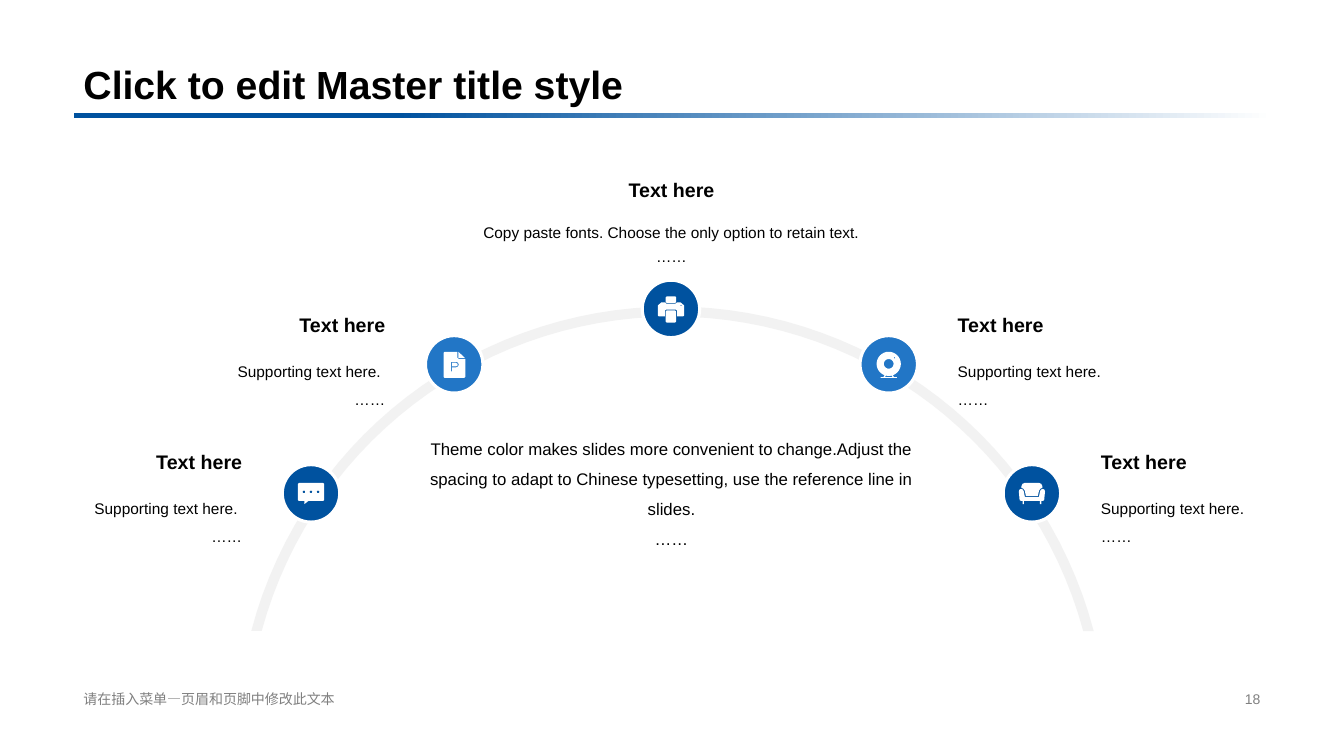
from math import asin, cos, pi, sin

from pptx import Presentation
from pptx.dml.color import RGBColor
from pptx.enum.shapes import MSO_SHAPE as Shape
from pptx.enum.text import MSO_ANCHOR as Anchor, PP_ALIGN as Align
from pptx.util import Inches, Pt

COLORS = {
    "navy": "00529F",
    "blue": "2276C6",
    "arc": "F2F2F2",
    "white": "FFFFFF",
    "black": "000000",
    "gray": "808080",
}
FORMATS = {
    "title": {"size": Pt(28), "bold": True},
    "heading": {"size": Pt(14), "bold": True},
    "body": {"size": Pt(11), "bold": False},
    "center": {"size": Pt(12), "bold": False},
    "footer": {"size": Pt(10), "bold": False},
}
NODE_SIZE = 0.57
ELLIPSIS = "……"
SUPPORT = "Supporting text here."


def color(name):
    return RGBColor.from_string(COLORS[name])


def add_text(slide, box, lines, style, align=Align.LEFT, anchor=Anchor.TOP,
             spacing=1.0, ink="black"):
    frame = slide.shapes.add_textbox(*map(Inches, box)).text_frame
    frame.word_wrap = True
    frame.vertical_anchor = anchor
    for index, line in enumerate(lines):
        paragraph = frame.add_paragraph() if index else frame.paragraphs[0]
        paragraph.alignment = align
        paragraph.line_spacing = spacing
        run = paragraph.add_run()
        run.text = line
        run.font.name = "Arial"
        run.font.color.rgb = color(ink)
        for attribute, value in FORMATS[style].items():
            setattr(run.font, attribute, value)


def add_outline(slide, contours, fill):
    emu = [[(Inches(x), Inches(y)) for x, y in contour] for contour in contours]
    builder = slide.shapes.build_freeform(*emu[0][0], scale=1.0)
    for index, contour in enumerate(emu):
        if index:
            builder.move_to(*contour[0])
        builder.add_line_segments(contour[1:], close=True)
    outline = builder.convert_to_shape()
    outline.shadow.inherit = False
    outline.fill.solid()
    outline.fill.fore_color.rgb = color(fill)
    outline.line.fill.background()


def add_title_rule(slide):
    rule = slide.shapes.add_shape(
        Shape.RECTANGLE, *map(Inches, (0.73, 1.12, 11.89, 0.05)))
    rule.shadow.inherit = False
    rule.line.fill.background()
    rule.fill.gradient()
    rule.fill.gradient_angle = 0
    stops = zip(rule.fill.gradient_stops, ((0.27, "navy"), (1.0, "white")))
    for stop, (position, name) in stops:
        stop.position = position
        stop.color.rgb = color(name)


def arc_edge(radius, steps=60):
    center_x, center_y, base_y = 6.67, 7.36, 6.26
    start = asin((center_y - base_y) / radius)
    angles = [start + (pi - 2 * start) * i / steps for i in range(steps + 1)]
    return [(center_x + radius * cos(a), center_y - radius * sin(a))
            for a in angles]


def disc(x, y, radius, steps=32):
    return [(x + radius * cos(2 * pi * i / steps),
             y + radius * sin(2 * pi * i / steps)) for i in range(steps)]


def mirrored(left_half):
    return left_half + [(-x, y) for x, y in reversed(left_half)]


def panel(half_width, top, bottom, cut=1):
    return mirrored([(cut - half_width, top), (-half_width, top + cut),
                     (-half_width, bottom - cut), (cut - half_width, bottom)])


def chat_icon():
    tail = [(-2.5, 7.5), (-6.5, 10.5), (-6.5, 7.5)]
    return [panel(13, -10.5, 7.5), tail] + [disc(x, -1.5, 1.3) for x in (-7, 0, 7)]


def document_icon():
    page = [(-9.5, -12.5), (3.2, -12.5), (3.2, -6.5), (4.5, -5.2), (11, -5.2),
            (11, 12.5), (10, 13.5), (-9.5, 13.5), (-10.5, 12.5), (-10.5, -11.5)]
    fold = [(4.2, -12.5), (10.8, -6.2), (4.2, -6.2)]
    letter = [(-3, -2.5), (2, -2.5), (4, -1.5), (4.5, 0.2), (4, 2), (2, 3),
              (-2, 3), (-2, 7), (-3, 7)]
    counter = [(-2, -1.6), (1.7, -1.6), (3.4, -0.6), (3.4, 1.2), (1.7, 2.1),
               (-2, 2.1)]
    return [page, fold, letter, counter]


def printer_icon():
    body = mirrored([(-4.5, -5.2), (-6, -6.5), (-9.5, -6.5), (-13, -3.5),
                     (-13, 6.5), (-12, 7.5), (-6, 7.5), (-6, 1.8), (-5, 0.8)])
    return [body, panel(5.2, -12.5, -5.9), panel(5.2, 1.6, 13.5),
            disc(10, -3.5, 0.6)]


def webcam_icon():
    left_leg = [(-4, 10.8), (-2.8, 11.3), (-3.8, 12.6), (-5.2, 12.6)]
    right_leg = [(-x, y) for x, y in left_leg]
    base = [(-8, 12.6), (8, 12.6), (8, 13.5), (-8, 13.5)]
    return [disc(0, -0.5, 12), disc(0, -0.5, 4.8), disc(5.7, -6.5, 0.7),
            left_leg, right_leg, base]


def sofa_icon():
    seat = mirrored([(-7, 3.5), (-8, -2), (-9, -3.8), (-10.7, -4.5), (-12.4, -3.8),
                     (-13, -2), (-12.2, 6.5), (-11, 7.5), (-9.3, 7.5),
                     (-9.3, 10.5), (-8, 10.5), (-8, 7.5)])
    back = mirrored([(-7, -10.5), (-9.3, -9.5), (-10.4, -7.2), (-10.4, -5.6),
                     (-8.2, -4.5), (-7, -2.5), (-6, 2.5)])
    return [seat, back]


def add_node(slide, left, top, fill, icon):
    node = slide.shapes.add_shape(
        Shape.OVAL, *map(Inches, (left, top, NODE_SIZE, NODE_SIZE)))
    node.shadow.inherit = False
    node.fill.solid()
    node.fill.fore_color.rgb = color(fill)
    node.line.color.rgb = color("white")
    node.line.width = Pt(2.25)
    center_x, center_y = left + NODE_SIZE / 2, top + NODE_SIZE / 2
    add_outline(slide, [[(center_x + x / 100, center_y + y / 100)
                         for x, y in contour] for contour in icon], "white")


def add_caption(slide, left, top, width, align, support, spacing):
    add_text(slide, (left, top, width, 0.46), ["Text here"], "heading",
             align, Anchor.MIDDLE)
    add_text(slide, (left, top + 0.46, width, 0.62), [support, ELLIPSIS], "body",
             align, spacing=spacing)


def main():
    deck = Presentation()
    deck.slide_width, deck.slide_height = Inches(13.33), Inches(7.5)
    slide = deck.slides.add_slide(deck.slide_layouts[6])

    add_title_rule(slide)
    add_outline(slide, [arc_edge(4.32) + arc_edge(4.22)[::-1]], "arc")
    add_text(slide, (0.73, 0, 11.87, 1.12), ["Click to edit Master title style"],
             "title", anchor=Anchor.BOTTOM, spacing=0.9)
    add_text(slide, (0.73, 6.82, 4.53, 0.23), ["请在插入菜单—页眉和页脚中修改此文本"],
             "footer", anchor=Anchor.MIDDLE, ink="gray")
    add_text(slide, (9.42, 6.82, 3.18, 0.23), ["18"], "footer", Align.RIGHT,
             Anchor.MIDDLE, ink="gray")

    for left, top, fill, icon in (
        (2.8, 4.61, "navy", chat_icon()),
        (4.22, 3.33, "blue", document_icon()),
        (6.37, 2.78, "navy", printer_icon()),
        (8.53, 3.33, "blue", webcam_icon()),
        (9.95, 4.61, "navy", sofa_icon()),
    ):
        add_node(slide, left, top, fill, icon)

    for left, top, align, support in (
        (0.72, 4.35, Align.RIGHT, SUPPORT + " "),
        (2.14, 2.99, Align.RIGHT, SUPPORT + " "),
        (9.4, 2.99, Align.LEFT, SUPPORT),
        (10.82, 4.35, Align.LEFT, SUPPORT),
    ):
        add_caption(slide, left, top, 1.78, align, support, 1.5)
    add_caption(slide, 4.67, 1.65, 3.98, Align.CENTER,
                "Copy paste fonts. Choose the only option to retain text.", 1.3)

    add_text(slide, (3.99, 4.2, 5.34, 1.12), [
        "Theme color makes slides more convenient to change.Adjust the spacing to "
        "adapt to Chinese typesetting, use the reference line in slides.", ELLIPSIS],
        "center", Align.CENTER, spacing=1.5)
    deck.save("out.pptx")


if __name__ == "__main__":
    main()
